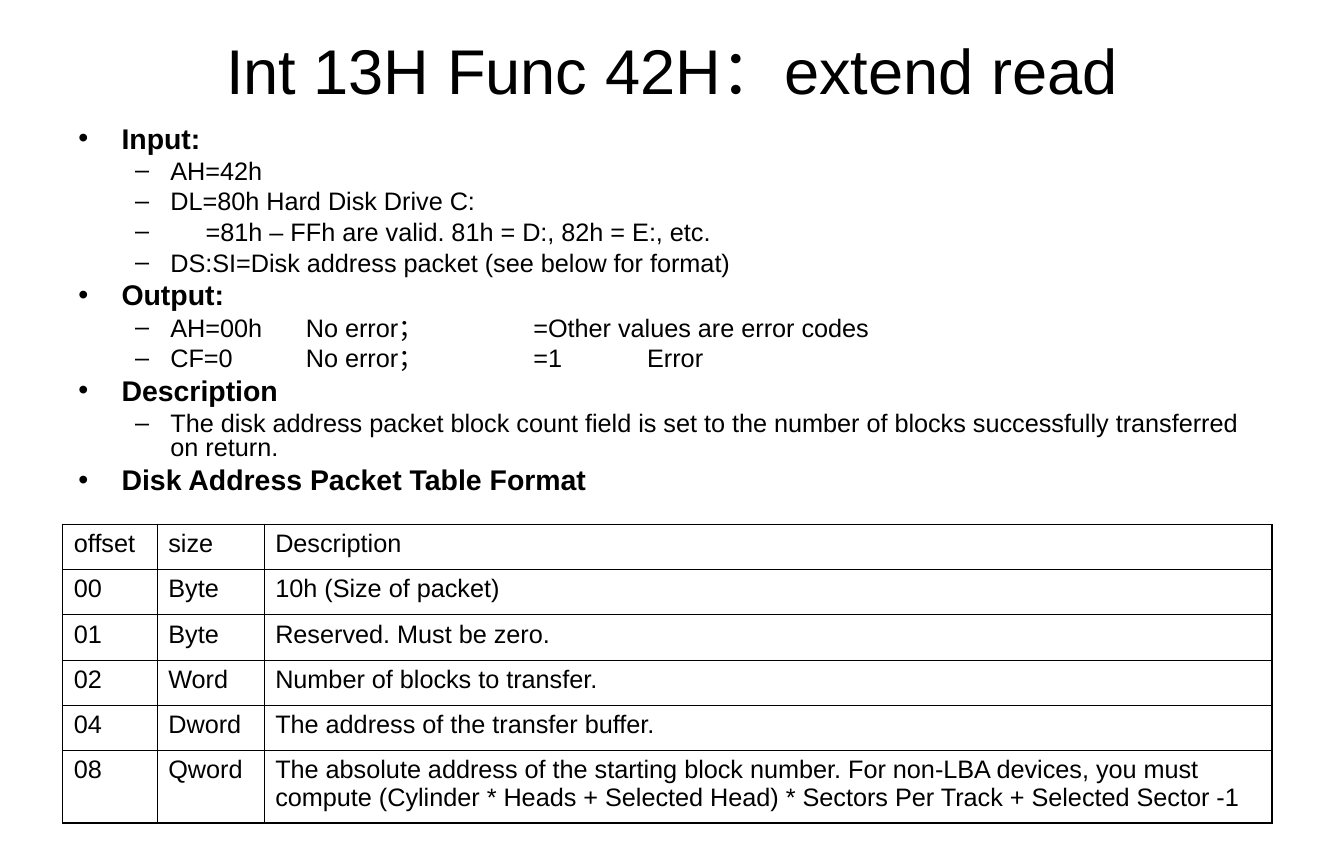
from dataclasses import dataclass

from lxml import etree
from pptx import Presentation
from pptx import util as u
from pptx.dml.color import RGBColor
from pptx.enum import text
from pptx.oxml import ns


@dataclass(frozen=True)
class Theme:
    """Colours, fonts, type sizes and line widths of the slide."""
    ink: str = "000000"
    font: str = "Arial"
    title: int = 40
    head: int = 18
    item: int = 16
    outer: float = 1.08
    inner: float = 0.45


THEME = Theme()
TITLE = "Int 13H Func 42H：extend read"
BODY = [
    ("Input:", [
        "AH=42h",
        "DL=80h Hard Disk Drive C:",
        "=81h – FFh are valid. 81h = D:, 82h = E:, etc.",
        "DS:SI=Disk address packet (see below for format)",
    ]),
    ("Output:", [
        "AH=00h\tNo error；\t=Other values are error codes",
        "CF=0\tNo error；\t=1\tError",
    ]),
    ("Description", [
        "The disk address packet block count field is set to the number of "
        "blocks successfully transferred on return.",
    ]),
    ("Disk Address Packet Table Format", []),
]
COLS = [0.83, 0.94, 8.86]
ROWS = [
    ("offset", "size", "Description"),
    ("00", "Byte", "10h (Size of packet)"),
    ("01", "Byte", "Reserved. Must be zero."),
    ("02", "Word", "Number of blocks to transfer."),
    ("04", "Dword", "The address of the transfer buffer."),
    ("08", "Qword", "The absolute address of the starting block number. "
     "For non-LBA devices, you must compute (Cylinder * Heads + Selected "
     "Head) * Sectors Per Track + Selected Sector -1"),
]
TALL = 0.64
HEIGHTS = [(2.63 - TALL) / 5] * 5 + [TALL]


def add_node(root, tag, **attrs):
    """Append a DrawingML element to root."""
    return etree.SubElement(root, ns.qn(f"a:{tag}"), attrs)


def style(par, size, bold=False):
    """Format every run of a paragraph."""
    for run in par.runs:
        run.font.name = THEME.font
        run.font.size = u.Pt(size)
        run.font.bold = bold
        run.font.color.rgb = RGBColor.from_string(THEME.ink)


def add_box(slide, left, top, width, height):
    """Add a wrapping text box and return its frame."""
    box = slide.shapes.add_textbox(*map(u.Inches, (left, top, width, height)))
    box.text_frame.word_wrap = True
    return box.text_frame


def add_title(slide):
    """Add the centred title."""
    frame = add_box(slide, 0.59, 0.3, 10.63, 0.61)
    frame.vertical_anchor = text.MSO_ANCHOR.MIDDLE
    frame.text = TITLE
    par = frame.paragraphs[0]
    par.alignment = text.PP_ALIGN.CENTER
    style(par, THEME.title)


def set_list(par, mark, start, left):
    """Give a paragraph a bullet at start, text at left and inch tabs."""
    props = par._p.get_or_add_pPr()
    props.set("marL", str(u.Inches(left)))
    props.set("indent", str(u.Inches(start - left)))
    add_node(add_node(props, "buClr"), "srgbClr", val=THEME.ink)
    add_node(props, "buFont", typeface=THEME.font)
    add_node(props, "buChar", char=mark)
    tabs = add_node(props, "tabLst")
    for inch in range(1, 9):
        add_node(tabs, "tab", pos=str(u.Inches(inch)), algn="l")


def add_line(frame, words, level):
    """Write one heading or item into the body list."""
    first = not frame.text
    par = frame.paragraphs[0] if first else frame.add_paragraph()
    par.text = words
    par.level = level
    par.line_spacing = 0.8
    par.space_before = u.Pt(0 if first else 4 if level else 4.5)
    if level:
        set_list(par, "–", 0.5, 1.12 if words.startswith("=") else 0.81)
        style(par, THEME.item)
    else:
        set_list(par, "•", 0, 0.38)
        style(par, THEME.head, True)


def add_body(slide):
    """Add the two-level list."""
    frame = add_box(slide, 0.59, 1.07, 10.63, 3.39)
    for head, items in BODY:
        add_line(frame, head, 0)
        for item in items:
            add_line(frame, item, 1)


def set_edges(cell, edges):
    """Draw the borders of a cell, thick where the edge is an outer one."""
    props = cell._tc.get_or_add_tcPr()
    for spot, (side, outer) in enumerate(edges.items()):
        width = u.Pt(THEME.outer if outer else THEME.inner)
        line = add_node(props, f"ln{side}", w=str(width))
        add_node(add_node(line, "solidFill"), "srgbClr", val=THEME.ink)
        props.insert(spot, line)


def add_grid(slide):
    """Add the packet format table."""
    area = map(u.Inches, (0.55, 4.61, sum(COLS), sum(HEIGHTS)))
    grid = slide.shapes.add_table(len(ROWS), len(COLS), *area).table
    grid.first_row = grid.horz_banding = False
    for col, width in zip(grid.columns, COLS):
        col.width = u.Inches(width)
    for row, height in zip(grid.rows, HEIGHTS):
        row.height = u.Inches(height)
    for r, words in enumerate(ROWS):
        for c, word in enumerate(words):
            cell = grid.cell(r, c)
            cell.text_frame.text = word
            style(cell.text_frame.paragraphs[0], THEME.item)
            cell.fill.background()
            set_edges(cell, {"L": c == 0, "R": c == len(COLS) - 1,
                             "T": r == 0, "B": r == len(ROWS) - 1})


def main():
    """Build and save the slide."""
    deck = Presentation()
    deck.slide_width = u.Inches(189 / 16)
    deck.slide_height = u.Inches(7.5)
    slide = deck.slides.add_slide(deck.slide_layouts[6])
    add_title(slide)
    add_body(slide)
    add_grid(slide)
    deck.save("out.pptx")


if __name__ == "__main__":
    main()
